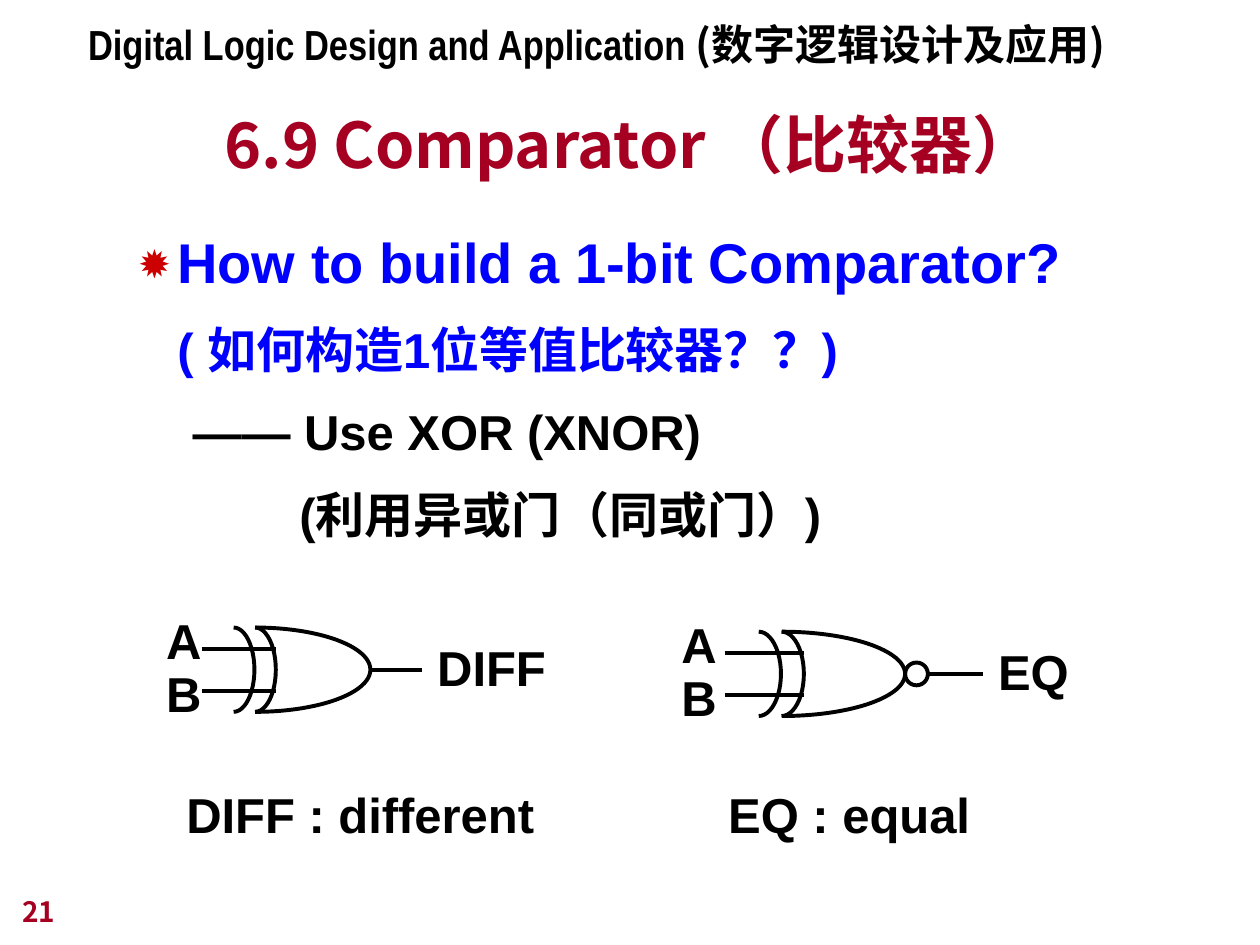
from dataclasses import dataclass
from lxml.etree import SubElement
from pptx import Presentation
from pptx.dml.color import RGBColor
from pptx.enum.shapes import MSO_CONNECTOR, MSO_SHAPE
from pptx.enum.text import MSO_ANCHOR, PP_ALIGN
from pptx.oxml.ns import qn
from pptx.util import Pt


@dataclass(frozen=True)
class Theme:
    black: RGBColor = RGBColor(0, 0, 0)
    blue: RGBColor = RGBColor(0, 0, 0xFF)
    wine: RGBColor = RGBColor(0xA5, 0, 0x21)
    red: str = "CC0000"
    sans: str = "Arial"
    narrow: str = "Arial Narrow"
    cjk: str = "Noto Sans CJK JP"
    title: int = 36
    lead: int = 32
    text: int = 28
    head: int = 24
    foot: int = 16
    line: float = 2.25


T = Theme()


def add_box(slide, x, y, w, h, anchor=MSO_ANCHOR.TOP):
    box = slide.shapes.add_textbox(Pt(x), Pt(y), Pt(w), Pt(h))
    frame = box.text_frame
    frame.word_wrap = True
    frame.vertical_anchor = anchor
    return frame


def add_run(para, text, size=T.text, color=T.black, font=T.sans):
    run = para.add_run()
    run.text = text
    run.font.size = Pt(size)
    run.font.bold = True
    run.font.name = font
    run.font.color.rgb = color
    SubElement(run._r.get_or_add_rPr(), qn("a:ea"), typeface=T.cjk)


def add_label(slide, x, y, w, *lines):
    frame = add_box(slide, x, y, w, 41 if len(lines) == 1 else 68)
    for i, line in enumerate(lines):
        para = frame.paragraphs[0] if i == 0 else frame.add_paragraph()
        if len(lines) > 1:
            para.line_spacing = 0.9
        add_run(para, line)


def add_star(para):
    """Give the paragraph a red star bullet."""
    props = para._p.get_or_add_pPr()
    color = SubElement(props, qn("a:buClr"))
    SubElement(color, qn("a:srgbClr"), val=T.red)
    SubElement(props, qn("a:buSzPct"), val="70000")
    SubElement(props, qn("a:buFont"), typeface=T.cjk)
    SubElement(props, qn("a:buChar"), char="✹")


def add_head(slide, x, y, w, h):
    para = add_box(slide, x, y, w, h).paragraphs[0]
    add_run(para, "Digital Logic Design and Application ", T.head, font=T.narrow)
    add_run(para, "(数字逻辑设计及应用)", T.head, font=T.cjk)


def add_title(slide, x, y, w, h):
    para = add_box(slide, x, y, w, h, MSO_ANCHOR.BOTTOM).paragraphs[0]
    para.alignment = PP_ALIGN.CENTER
    add_run(para, "6.9 Comparator （比较器）", T.title, T.wine, T.cjk)


def add_body(slide, x, y, w, h):
    frame = add_box(slide, x, y, w, h)
    rows = [
        ("How to build a 1-bit Comparator?", T.lead, T.blue, 58.3),
        ("( 如何构造1位等值比较器？？)", T.text, T.blue, 58.3),
        ("—— Use XOR (XNOR)", T.text, T.black, 67),
        ("(利用异或门（同或门）)", T.text, T.black, 128),
    ]
    for i, (text, size, color, left) in enumerate(rows):
        para = frame.paragraphs[0] if i == 0 else frame.add_paragraph()
        para.line_spacing = 1.2
        props = para._p.get_or_add_pPr()
        props.set("marL", str(Pt(left)))
        if i == 0:
            props.set("indent", str(-Pt(22.5)))
            add_star(para)
        else:
            para.space_before = Pt(7)
        add_run(para, text, size, color)


def add_arc(slide, x, y, w, h):
    """Draw the right half of the ellipse that fills the box."""
    arc = slide.shapes.add_shape(MSO_SHAPE.ARC, Pt(x), Pt(y), Pt(w), Pt(h))
    arc.adjustments[0] = 162
    arc.adjustments[1] = 54
    style(arc)


def style(shape):
    shape.shadow.inherit = False
    shape.fill.background()
    shape.line.color.rgb = T.black
    shape.line.width = Pt(T.line)


def add_wire(slide, x, y, w):
    wire = slide.shapes.add_connector(
        MSO_CONNECTOR.STRAIGHT, Pt(x), Pt(y), Pt(x + w), Pt(y))
    wire.line.color.rgb = T.black
    wire.line.width = Pt(T.line)
    SubElement(wire._element.spPr, qn("a:effectLst"))


def add_gate(slide, x, y, w, h, pad, name, invert=False):
    """Draw an XOR gate, w wide from its input ends to its tip."""
    mid, tip, dot = y + h / 2, x + w, 13
    for left in (0.067, 0.194):
        add_arc(slide, x + left * w, y, 0.246 * w, h)
    add_arc(slide, x - 0.366 * w, y, 1.366 * w, h)
    for part in (0.25, 0.75):
        add_wire(slide, x, y + part * h, 0.44 * w)
    if invert:
        ring = slide.shapes.add_shape(
            MSO_SHAPE.OVAL, Pt(tip), Pt(mid - dot / 2), Pt(dot), Pt(dot))
        style(ring)
        tip += dot
    add_wire(slide, tip, mid, 0.306 * w)
    add_label(slide, x - pad, y - 9.5, 38, "A", "B")
    add_label(slide, tip + 0.306 * w + 1.5, mid - 22, 90, name)


def add_foot(slide, x, y, w, h):
    para = add_box(slide, x, y, w, h, MSO_ANCHOR.BOTTOM).paragraphs[0]
    add_run(para, "21", T.foot, T.wine, T.cjk)


def main():
    deck = Presentation()
    deck.slide_width, deck.slide_height = Pt(720), Pt(540)
    slide = deck.slides.add_slide(deck.slide_layouts[6])
    add_title(slide, 54, 47, 612, 60)
    add_body(slide, 36, 119, 648, 242)
    add_gate(slide, 115.2, 358.6, 96.5, 48.2, 27.4, "DIFF")
    add_gate(slide, 414, 361, 103.2, 48.2, 31.7, "EQ", invert=True)
    add_label(slide, 99.4, 445, 225, "DIFF : different")
    add_label(slide, 409, 445, 165, "EQ : equal")
    add_head(slide, 43.2, 7.2, 600, 36)
    add_foot(slide, 5.8, 498, 150, 36)
    deck.save("out.pptx")


if __name__ == "__main__":
    main()
